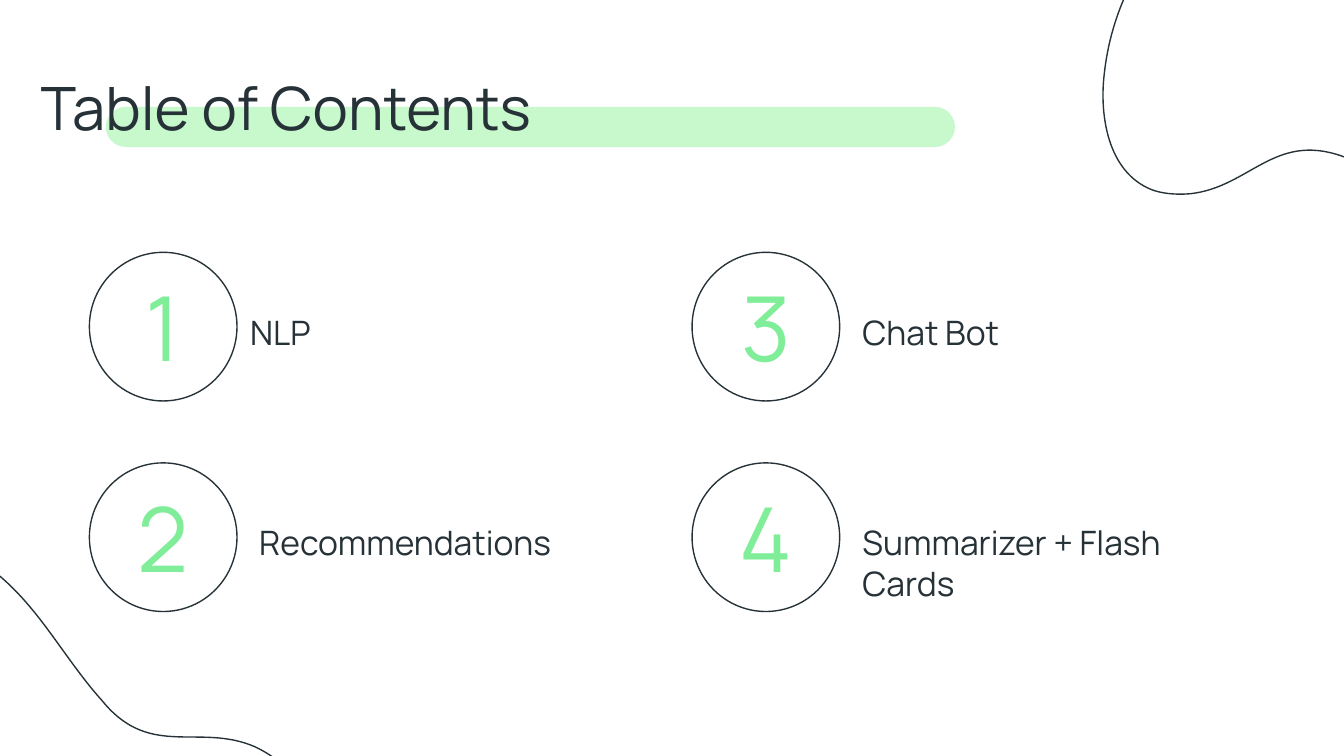
from lxml import etree
from pptx import Presentation
from pptx.dml.color import RGBColor
from pptx.enum.shapes import MSO_SHAPE as Shape
from pptx.enum.text import MSO_ANCHOR as Anchor, PP_ALIGN as Align
from pptx.oxml.ns import qn
from pptx.util import Cm, Pt

FONT = "Manrope"
INK, GREEN, PALE_GREEN = "263238", "80ED99", "C7F9CC"

# Closed wave around its own centre, in cm: a start point, then Bezier triples
WAVE_START = (3.37, -4.11)
WAVE_CURVES = [
    ((3.16, -4.11), (2.91, -4.04), (2.66, -3.92)),
    ((1.66, -3.4), (1.6, -2.28), (0.26, -2.23)),
    ((0.12, -2.23), (0, -2.22), (-0.14, -2.22)),
    ((-0.77, -2.22), (-1.37, -2.29), (-1.94, -2.29)),
    ((-2.65, -2.29), (-3.32, -2.2), (-4.06, -1.77)),
    ((-5.34, -1.09), (-5.61, -0.07), (-5.34, 1.11)),
    ((-4.93, 3.19), (-3.15, 4.13), (-1.1, 4.14)),
    ((-0.24, 4.13), (0.67, 3.94), (1.54, 3.61)),
    ((4.35, 2.53), (5.64, 0.09), (4.99, -2.39)),
    ((4.8, -3.14), (4.27, -4.1), WAVE_START),
]


def color(hex_string):
    return RGBColor.from_string(hex_string)


def outline(shape):
    shape.shadow.inherit = False
    shape.fill.background()
    shape.line.color.rgb = color(INK)
    shape.line.width = Pt(0.75)


def add_text(slide, box, text, size, hex_color, align=Align.LEFT, anchor=Anchor.TOP):
    text_box = slide.shapes.add_textbox(*(Cm(length) for length in box))
    frame = text_box.text_frame
    frame.word_wrap = True
    frame.vertical_anchor = anchor
    frame.margin_left = frame.margin_right = Cm(0.25)
    frame.margin_top = frame.margin_bottom = Cm(0.25)
    paragraph = frame.paragraphs[0]
    paragraph.alignment = align
    run = paragraph.add_run()
    run.text = text
    run.font.name = FONT
    run.font.size = Pt(size)
    run.font.color.rgb = color(hex_color)


def curve_segments(shape):
    """Turn each three straight segments into one Bezier curve."""
    lines = list(shape.element.iter(qn("a:lnTo")))
    for index in range(0, len(lines), 3):
        curve = etree.Element(qn("a:cubicBezTo"))
        lines[index].addprevious(curve)
        for line in lines[index:index + 3]:
            curve.append(line[0])
            line.getparent().remove(line)


def add_wave(slide, center_x, center_y, rotation):
    start, *points = [
        (Cm(center_x + x), Cm(center_y + y))
        for x, y in [WAVE_START] + [point for curve in WAVE_CURVES for point in curve]
    ]
    builder = slide.shapes.build_freeform(*start)
    builder.add_line_segments(points, close=True)
    wave = builder.convert_to_shape()
    curve_segments(wave)
    wave.rotation = rotation
    outline(wave)


def add_highlight(slide, left, top, width, height):
    bar = slide.shapes.add_shape(
        Shape.ROUNDED_RECTANGLE, Cm(left), Cm(top), Cm(width), Cm(height)
    )
    bar.adjustments[0] = 0.5
    bar.shadow.inherit = False
    bar.fill.solid()
    bar.fill.fore_color.rgb = color(PALE_GREEN)
    bar.line.fill.background()


def add_contents(slide, left, top, entries):
    # Two columns, filled downwards
    places = [
        (left + index // 2 * 11.39, top + index % 2 * 3.98)
        for index in range(len(entries))
    ]
    # Circles
    for x, y in places:
        outline(slide.shapes.add_shape(Shape.OVAL, Cm(x), Cm(y), Cm(2.79), Cm(2.81)))
    # Numbers and labels
    for number, ((x, y), (text, offset)) in enumerate(zip(places, entries), 1):
        add_text(slide, (x + 0.13, y + 0.38, 2.54, 2.03), str(number), 48, GREEN,
                 Align.CENTER, Anchor.MIDDLE)
        add_text(slide, (x + offset, y + 0.87, 7.67, 1.07), text, 18, INK)


def main():
    presentation = Presentation()
    presentation.slide_width, presentation.slide_height = Cm(25.4), Cm(14.29)
    slide = presentation.slides.add_slide(presentation.slide_layouts[6])

    # Background decoration
    add_highlight(slide, 2, 2.02, 16.05, 0.76)
    add_wave(slide, 26.36, 0.92, 201)
    add_wave(slide, 0.08, 14.53, 50.9)

    # Title and entries
    add_text(slide, (0.52, 1.08, 21.41, 1.7), "Table of Contents", 32, INK)
    add_contents(slide, 1.69, 4.77, [
        ("NLP", 2.79),
        ("Recommendations", 2.96),
        ("Chat Bot", 2.97),
        ("Summarizer + Flash Cards", 2.97),
    ])
    presentation.save("out.pptx")


if __name__ == "__main__":
    main()
